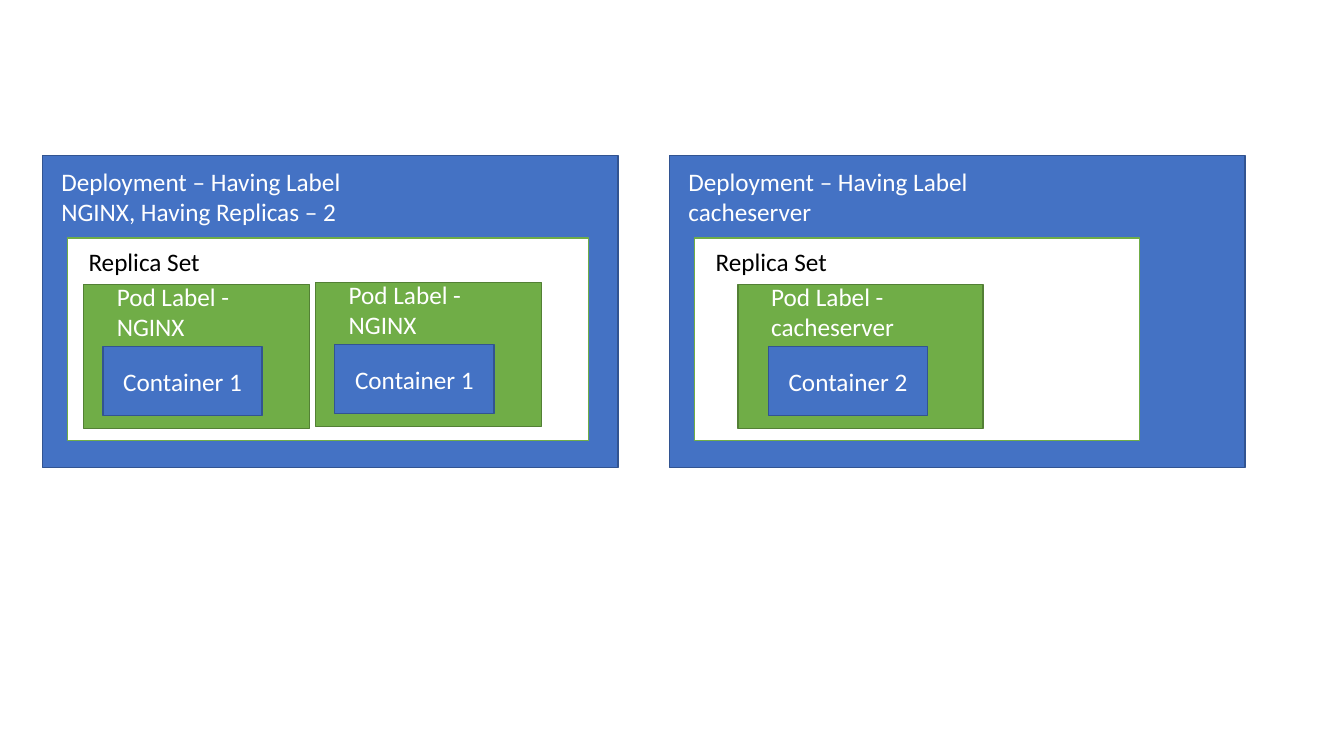
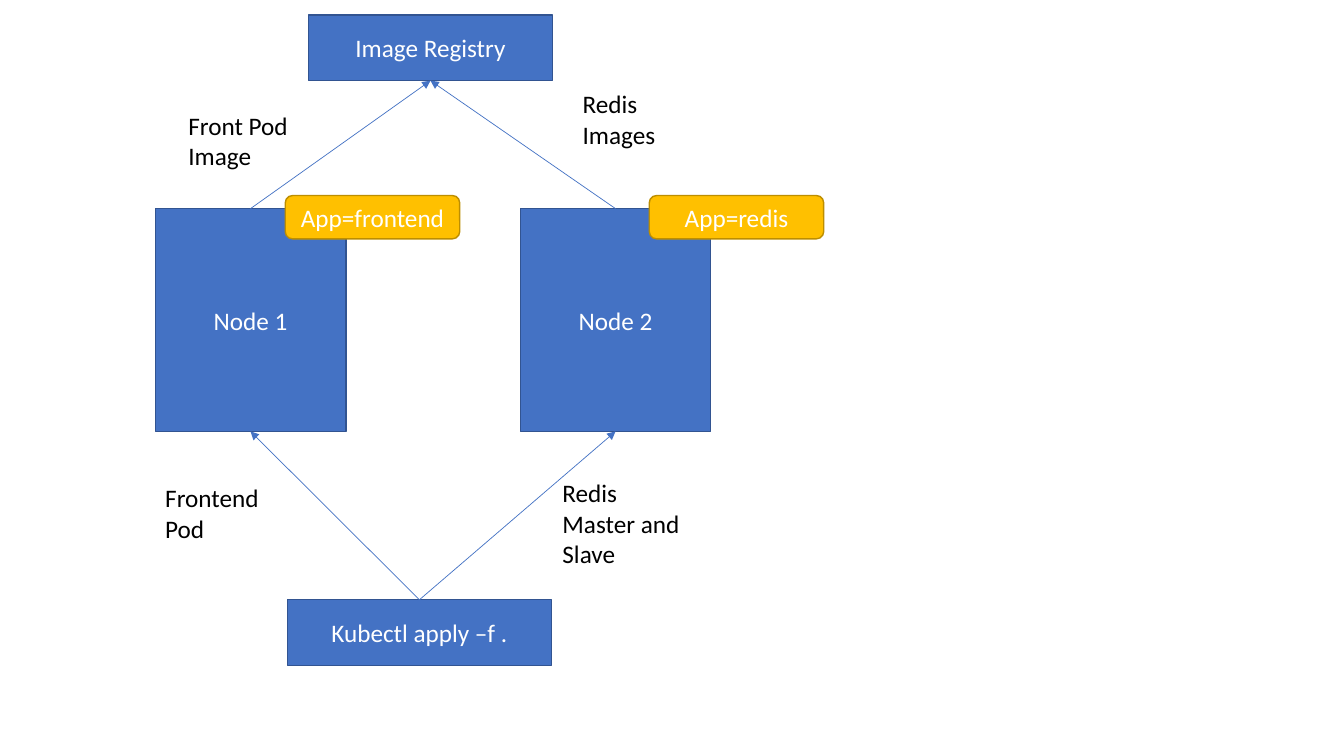
from lxml import etree
from pptx import Presentation
from pptx.dml.color import RGBColor
from pptx.enum.shapes import MSO_CONNECTOR, MSO_SHAPE
from pptx.enum.text import MSO_ANCHOR, PP_ALIGN
from pptx.oxml.ns import qn
from pptx.util import Inches, Pt

FONT = "Calibri"
COLORS = {
    "blue": "4472C4", "blue_edge": "325491",
    "green": "70AD47", "green_edge": "538035",
    "gold": "FFC000", "gold_edge": "BD8E00",
    "white": "FFFFFF", "black": "000000",
}
RGB = {name: RGBColor.from_string(value) for name, value in COLORS.items()}
TOP, BOTTOM = 0, 2  # connection sites of a rectangle


def add_box(s, x, y, w, h, fill, edge, text="", kind=MSO_SHAPE.RECTANGLE):
    sp = s.shapes.add_shape(kind, Inches(x), Inches(y), Inches(w), Inches(h))
    sp.shadow.inherit = False
    sp.fill.solid()
    sp.fill.fore_color.rgb = RGB[fill]
    sp.line.color.rgb = RGB[edge]
    sp.line.width = Pt(1)
    if text:
        sp.text_frame.vertical_anchor = MSO_ANCHOR.MIDDLE
        p = sp.text_frame.paragraphs[0]
        p.text = text
        p.alignment = PP_ALIGN.CENTER
        p.font.name, p.font.size = FONT, Pt(18)
        p.font.color.rgb = RGB["white"]
    return sp


def add_label(s, x, y, w, h, text, color="black"):
    tf = s.shapes.add_textbox(Inches(x), Inches(y), Inches(w), Inches(h)).text_frame
    tf.word_wrap = True
    p = tf.paragraphs[0]
    p.text = text
    p.font.name, p.font.size = FONT, Pt(18)
    p.font.color.rgb = RGB[color]


prs = Presentation()
prs.slide_width, prs.slide_height = Inches(13.33), Inches(7.5)
blank = prs.slide_layouts[6]

# Slide 1: deployments, replica sets and pods
s = prs.slides.add_slide(blank)
deployments = [
    # x, title, title width, replica set width
    (0.42, "Deployment – Having Label NGINX, Having Replicas – 2", 3.1, 5.17),
    (6.64, "Deployment – Having Label cacheserver", 3.86, 4.41),
]
for x, title, title_w, replica_w in deployments:
    add_box(s, x, 1.54, 5.71, 3.1, "blue", "blue_edge")
    add_box(s, x + 0.25, 2.36, replica_w, 2.01, "white", "green")
    add_label(s, x + 0.09, 1.6, title_w, 0.71, title, "white")
    add_label(s, x + 0.36, 2.39, 1.64, 0.4, "Replica Set")

pods = [
    # x, y, width, container inset, label, container
    (0.83, 2.82, 2.24, 0.19, "Pod Label - NGINX", "Container 1"),
    (3.13, 2.8, 2.24, 0.19, "Pod Label - NGINX", "Container 1"),
    (7.32, 2.82, 2.43, 0.3, "Pod Label - cacheserver", "Container 2"),
]
for x, y, w, inset, label, container in pods:
    add_box(s, x, y, w, 1.43, "green", "green_edge")
    add_box(s, x + inset, y + 0.62, 1.58, 0.68, "blue", "blue_edge", container)
    add_label(s, x + 0.23, y - 0.08, 1.72, 0.71, label, "white")

# Slide 2: nodes between the registry and the command
s = prs.slides.add_slide(blank)
node1, node2, registry, command = [
    add_box(s, x, y, w, h, "blue", "blue_edge", text)
    for x, y, w, h, text in [
        (1.54, 2.07, 1.89, 2.21, "Node 1"),
        (5.16, 2.07, 1.89, 2.21, "Node 2"),
        (3.06, 0.15, 2.42, 0.65, "Image Registry"),
        (2.85, 5.95, 2.62, 0.65, "Kubectl apply –f ."),
    ]
]

# Arrows run upwards, from the top of one box to the bottom of the next
for start, end in [(command, node1), (command, node2),
                   (node1, registry), (node2, registry)]:
    arrow = s.shapes.add_connector(MSO_CONNECTOR.STRAIGHT, 0, 0, 0, 0)
    arrow.begin_connect(start, TOP)
    arrow.end_connect(end, BOTTOM)
    arrow.line.color.rgb = RGB["blue"]
    arrow.line.width = Pt(0.5)
    etree.SubElement(arrow.line._get_or_add_ln(), qn("a:tailEnd"), type="triangle")
    etree.SubElement(arrow._element.spPr, qn("a:effectLst"))

# Arrow labels
for x, y, w, h, text in [
    (1.54, 4.74, 1.38, 0.71, "Frontend Pod"),
    (5.48, 4.69, 1.38, 1.01, "Redis Master and Slave"),
    (1.77, 1.04, 1.54, 0.71, "Front Pod Image"),
    (5.68, 0.83, 1.38, 0.71, "Redis Images"),
]:
    add_label(s, x, y, w, h, text)

# App tags on the node corners
for x, text in [(2.83, "App=frontend"), (6.44, "App=redis")]:
    add_box(s, x, 1.94, 1.73, 0.43, "gold", "gold_edge", text,
            MSO_SHAPE.ROUNDED_RECTANGLE)

prs.save("out.pptx")
